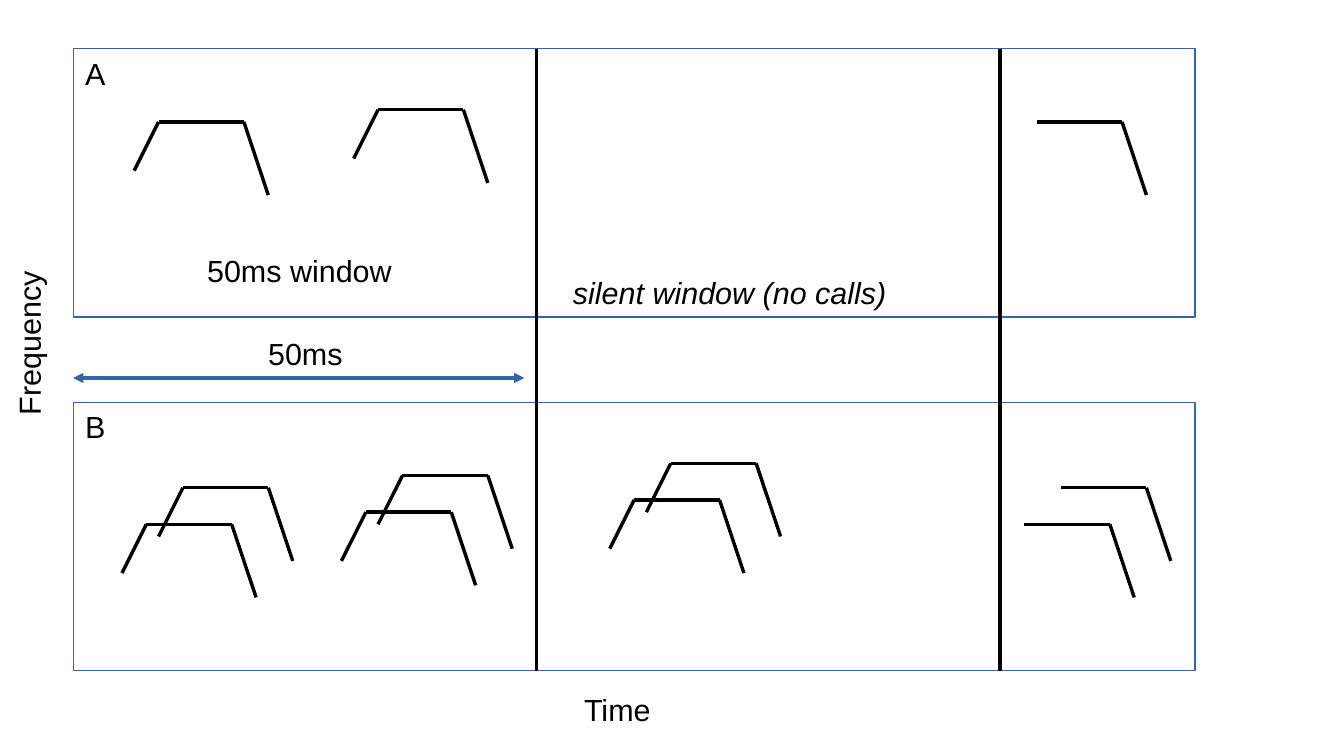
import itertools

import pptx
import pptx.dml.color
import pptx.enum.shapes
import pptx.enum.text
import pptx.oxml.ns
import pptx.util
from lxml import etree

COLORS = {"panel": "3465A4", "ink": "000000"}
CM_PER_UNIT = 2.54


def length(units):
    return pptx.util.Cm(units * CM_PER_UNIT)


class CallDiagram:
    font = "Arial"
    text_size = 18
    hairline = 0

    def __init__(self, slide):
        self.shapes = slide.shapes

    def color(self, name):
        return pptx.dml.color.RGBColor.from_string(COLORS[name])

    def outline(self, line, color):
        line.color.rgb = self.color(color)
        line.width = pptx.util.Pt(self.hairline)

    def panel(self, left, top, width, height):
        frame = self.shapes.add_shape(
            pptx.enum.shapes.MSO_SHAPE.RECTANGLE,
            *map(length, (left, top, width, height)))
        frame.shadow.inherit = False
        frame.fill.background()
        self.outline(frame.line, "panel")

    def line(self, start, end, color="ink", arrows=False):
        stroke = self.shapes.add_connector(
            pptx.enum.shapes.MSO_CONNECTOR.STRAIGHT,
            *map(length, (*start, *end)))
        self.outline(stroke.line, color)
        properties = stroke.element.spPr
        if arrows:
            outline = properties.find(pptx.oxml.ns.qn("a:ln"))
            for tip in ("a:headEnd", "a:tailEnd"):
                etree.SubElement(outline, pptx.oxml.ns.qn(tip), type="triangle")
        etree.SubElement(properties, pptx.oxml.ns.qn("a:effectLst"))

    def call(self, x, y, rising=True):
        corners = [(x, y), (x + 0.7, y), (x + 0.9, y + 0.6)]
        if rising:
            corners.insert(0, (x - 0.2, y + 0.4))
        for start, end in itertools.pairwise(corners):
            self.line(start, end)

    def label(self, text, left, top, width, height=0.38, italic=False, rotation=0):
        box = self.shapes.add_textbox(*map(length, (left, top, width, height)))
        box.rotation = rotation
        frame = box.text_frame
        frame.word_wrap = True
        frame.auto_size = pptx.enum.text.MSO_AUTO_SIZE.SHAPE_TO_FIT_TEXT
        run = frame.paragraphs[0].add_run()
        run.text = text
        run.font.name = self.font
        run.font.size = pptx.util.Pt(self.text_size)
        run.font.italic = italic
        run.font.color.rgb = self.color("ink")


def main():
    deck = pptx.Presentation()
    deck.slide_width = length(11.02)
    deck.slide_height = length(6.2)
    diagram = CallDiagram(deck.slides.add_slide(deck.slide_layouts[6]))

    panel_left, panel_width, panel_height = 0.6, 9.2, 2.2
    panel_tops = {"A": 0.4, "B": 3.3}
    for top in panel_tops.values():
        diagram.panel(panel_left, top, panel_width, panel_height)

    single_calls = [(1.3, 1, True), (3.1, 0.9, True), (8.5, 1, False)]
    paired_calls = [(1.2, 4.3, True), (3, 4.2, True), (5.2, 4.1, True), (8.4, 4.3, False)]
    echo_shift = 0.3
    echoes = [(x + echo_shift, y - echo_shift, rising) for x, y, rising in paired_calls]
    for call in single_calls + paired_calls + echoes:
        diagram.call(*call)

    diagram.label("Frequency", -0.47, 2.6, 1.41, 0.4, rotation=270)
    diagram.label("Time", 4.69, 5.62, 1.41)

    for window_edge in (4.4, 8.2):
        diagram.line((window_edge, panel_tops["A"]),
                     (window_edge, panel_tops["B"] + panel_height))
    diagram.line((panel_left, 3.1), (4.3, 3.1), "panel", arrows=True)

    diagram.label("50ms", 2.1, 2.7, 0.9)
    diagram.label("silent window (no calls)", 4.6, 2.2, 3.4, italic=True)
    diagram.label("50ms window", 1.6, 2.02, 2.7)
    for letter, top in panel_tops.items():
        diagram.label(letter, panel_left, top, 0.7)

    deck.save("out.pptx")


if __name__ == "__main__":
    main()
